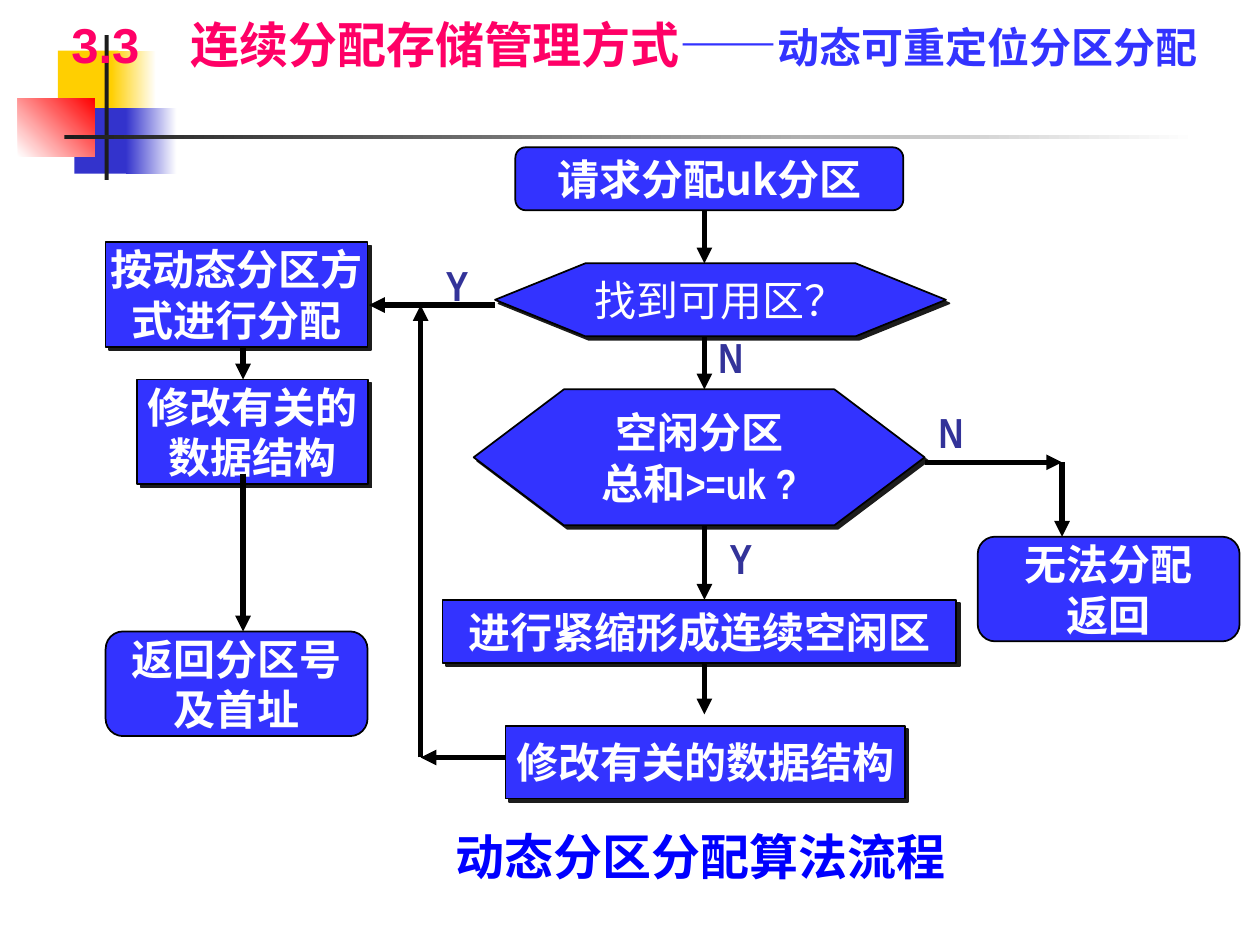
from lxml.etree import SubElement
from pptx import Presentation
from pptx.dml.color import RGBColor
from pptx.enum.shapes import MSO_CONNECTOR, MSO_SHAPE
from pptx.enum.text import MSO_ANCHOR, PP_ALIGN
from pptx.oxml.ns import qn
from pptx.util import Cm, Pt

CJK = "Noto Sans CJK SC"
NARROW = "Arial Narrow"
MAIN_X, LEFT_X, LOOP_X, FAIL_X = 14.2, 4.9, 8.48, 21.41
YES_Y, NO_Y, LOOP_Y = 6.15, 9.32, 15.27


def rgb(value):
    """Turn a hex string into a colour."""
    return RGBColor.from_string(value)


def add_text(p, text, size=24, font=NARROW, color="FFFFFF", bold=True):
    """Append a formatted run to a paragraph."""
    r = p.add_run()
    r.text = text
    r.font.size = Pt(size)
    r.font.name = font
    r.font.bold = bold
    r.font.color.rgb = rgb(color)
    SubElement(r.font._element, qn("a:ea"), typeface=CJK)


def setup_frame(tf, anchor=MSO_ANCHOR.MIDDLE, wrap=False):
    """Set anchor, wrapping and vertical insets of a text frame."""
    tf.word_wrap = wrap
    tf.vertical_anchor = anchor
    tf.margin_top = tf.margin_bottom = 0


def add_lines(tf, text, **fmt):
    """Write centred paragraphs, one for each line of text."""
    setup_frame(tf)
    for i, line in enumerate(text.split("\n")):
        p = tf.add_paragraph() if i else tf.paragraphs[0]
        p.alignment = PP_ALIGN.CENTER
        add_text(p, line, **fmt)


def add_band(s, box, color, end=None, angle=0):
    """Add a borderless rectangle with a solid or gradient fill."""
    sp = s.shapes.add_shape(MSO_SHAPE.RECTANGLE, *map(Cm, box))
    sp.shadow.inherit = False
    sp.line.fill.background()
    if end is None:
        sp.fill.solid()
        sp.fill.fore_color.rgb = rgb(color)
        return
    sp.fill.gradient()
    sp.fill.gradient_angle = angle
    for stop, position, value in zip(sp.fill.gradient_stops, (0, 1), (color, end)):
        stop.position = position
        stop.color.rgb = rgb(value)


def add_shadow(sp):
    """Give a shape a hard shadow to the lower right."""
    sp.shadow.inherit = False
    effects = sp._element.spPr.find(qn("a:effectLst"))
    shadow = SubElement(effects, qn("a:outerShdw"), dist=str(Pt(2.8)),
                        dir="2700000", algn="ctr", rotWithShape="0")
    SubElement(shadow, qn("a:srgbClr"), val="1C1C1C")


def add_node(s, kind, box, text, **fmt):
    """Add a flowchart node with its text."""
    sp = s.shapes.add_shape(kind, *map(Cm, box))
    sp.fill.solid()
    sp.fill.fore_color.rgb = rgb("3333FF")
    sp.line.color.rgb = rgb("000000")
    sp.line.width = Pt(1)
    if kind == MSO_SHAPE.FLOWCHART_ALTERNATE_PROCESS:
        sp.shadow.inherit = False
        fmt.setdefault("font", CJK)
    else:
        add_shadow(sp)
    add_lines(sp.text_frame, text, **fmt)


def add_arrow(s, *ends):
    """Add a thick black arrow from one point to another."""
    c = s.shapes.add_connector(MSO_CONNECTOR.STRAIGHT, *map(Cm, ends))
    c.line.color.rgb = rgb("000000")
    c.line.width = Pt(3)
    SubElement(c.line._get_or_add_ln(), qn("a:tailEnd"), type="triangle")
    SubElement(c._element.spPr, qn("a:effectLst"))


def add_label(s, left, top, text):
    """Add a branch label."""
    sp = s.shapes.add_textbox(Cm(left), Cm(top), Cm(1.47), Cm(0.84))
    add_lines(sp.text_frame, text, color="333399")


def add_decoration(s):
    """Add the coloured squares and the crossing bars."""
    add_band(s, (1.17, 1.02, 1.22, 1.32), "FFCF01")
    add_band(s, (2.24, 1.02, 0.91, 1.32), "FFCF01", "FFFFFF")
    add_band(s, (1.5, 2.18, 1.17, 1.32), "3333CC")
    add_band(s, (2.54, 2.18, 1.02, 1.32), "3333CC", "FFFFFF")
    add_band(s, (0.36, 1.98, 1.55, 1.17), "FFFFFF", "FF0000", angle=45)
    add_band(s, (2.11, 0.71, 0.08, 2.92), "1C1C1C")
    add_band(s, (1.3, 2.72, 22.86, 0.08), "1C1C1C", "FFFFFF")


def add_title(s):
    """Add the section title with its topic."""
    sp = s.shapes.add_textbox(Cm(1.19), Cm(0), Cm(23.93), Cm(1.47))
    setup_frame(sp.text_frame, MSO_ANCHOR.BOTTOM, True)
    p = sp.text_frame.paragraphs[0]
    tabs = SubElement(p._p.get_or_add_pPr(), qn("a:tabLst"))
    SubElement(tabs, qn("a:tab"), pos=str(Cm(2.4)), algn="l")
    add_text(p, "3.3\t连续分配存储管理方式", size=28, font="Arial", color="FF0066")
    add_text(p, "——", size=28, font="Arial", color="3333FF")
    add_text(p, "动态可重定位分区分配", font="Arial", color="3333FF")


def add_caption(s):
    """Add the caption under the flowchart."""
    sp = s.shapes.add_textbox(Cm(8.94), Cm(16.66), Cm(12.5), Cm(1.45))
    setup_frame(sp.text_frame, MSO_ANCHOR.TOP, True)
    add_text(sp.text_frame.paragraphs[0], "动态分区分配算法流程", size=28, color="0000FF")


def add_flowchart(s):
    """Add the nodes, arrows and branch labels."""
    test = MSO_SHAPE.FLOWCHART_PREPARATION
    step = MSO_SHAPE.FLOWCHART_PROCESS
    terminal = MSO_SHAPE.FLOWCHART_ALTERNATE_PROCESS
    add_node(s, test, (9.98, 5.31, 9.09, 1.47), "找到可用区？", font=CJK, bold=False)
    for kind, box, text in (
        (test, (9.55, 7.85, 9.09, 2.74), "空闲分区\n总和>=uk ?"),
        (step, (2.77, 7.65, 4.65, 2.11), "修改有关的\n数据结构"),
        (step, (8.92, 12.09, 10.36, 1.27), "进行紧缩形成连续空闲区"),
        (step, (10.19, 14.63, 8.05, 1.47), "修改有关的数据结构"),
        (step, (2.13, 4.88, 5.28, 2.11), "按动态分区方\n式进行分配"),
        (terminal, (10.39, 2.97, 7.82, 1.27), "请求分配uk分区"),
        (terminal, (2.13, 12.73, 5.28, 2.11), "返回分区号\n及首址"),
        (terminal, (19.71, 10.82, 5.28, 2.11), "无法分配\n返回"),
    ):
        add_node(s, kind, box, text)
    for x, top, bottom in (
        (MAIN_X, 4.24, 5.31), (MAIN_X, 6.78, 7.85), (MAIN_X, 10.59, 12.09),
        (MAIN_X, 13.36, 14.4), (LEFT_X, 7.01, 7.65), (LEFT_X, 9.55, 12.73),
        (FAIL_X, NO_Y, 10.82), (LOOP_X, LOOP_Y, YES_Y),
    ):
        add_arrow(s, x, top, x, bottom)
    for y, start, end in (
        (YES_Y, 9.98, 7.44), (NO_Y, 18.64, FAIL_X), (LOOP_Y, 10.19, LOOP_X),
    ):
        add_arrow(s, start, y, end, y)
    for left, top, text in (
        (8.48, 5.31, "Y"), (14.2, 10.82, "Y"), (14, 6.78, "N"), (18.44, 8.28, "N"),
    ):
        add_label(s, left, top, text)


def main():
    """Build and save the slide."""
    prs = Presentation()
    prs.slide_width, prs.slide_height = Cm(25.4), Cm(19.05)
    s = prs.slides.add_slide(prs.slide_layouts[6])
    add_decoration(s)
    add_flowchart(s)
    add_caption(s)
    add_title(s)
    prs.save("out.pptx")


if __name__ == "__main__":
    main()
